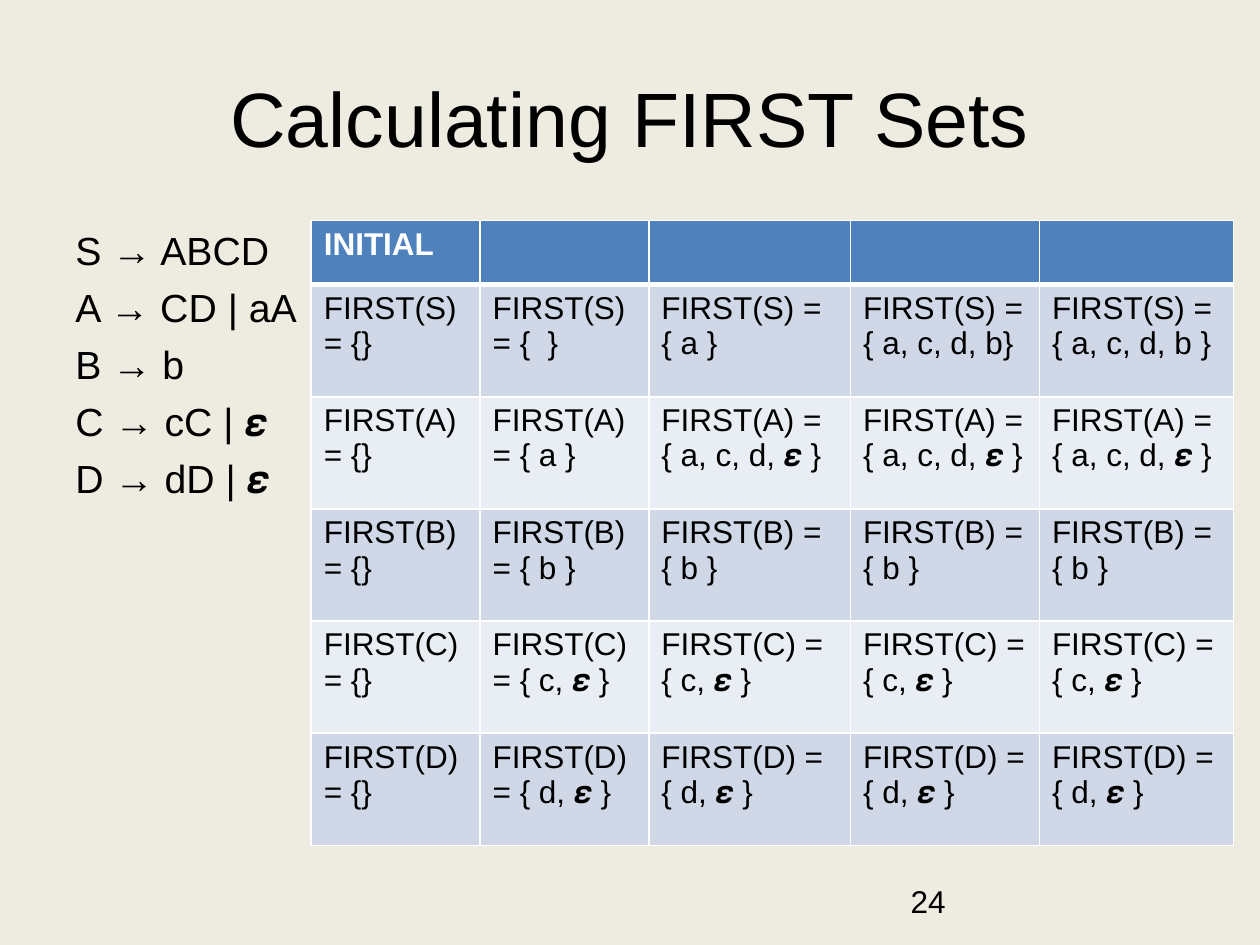
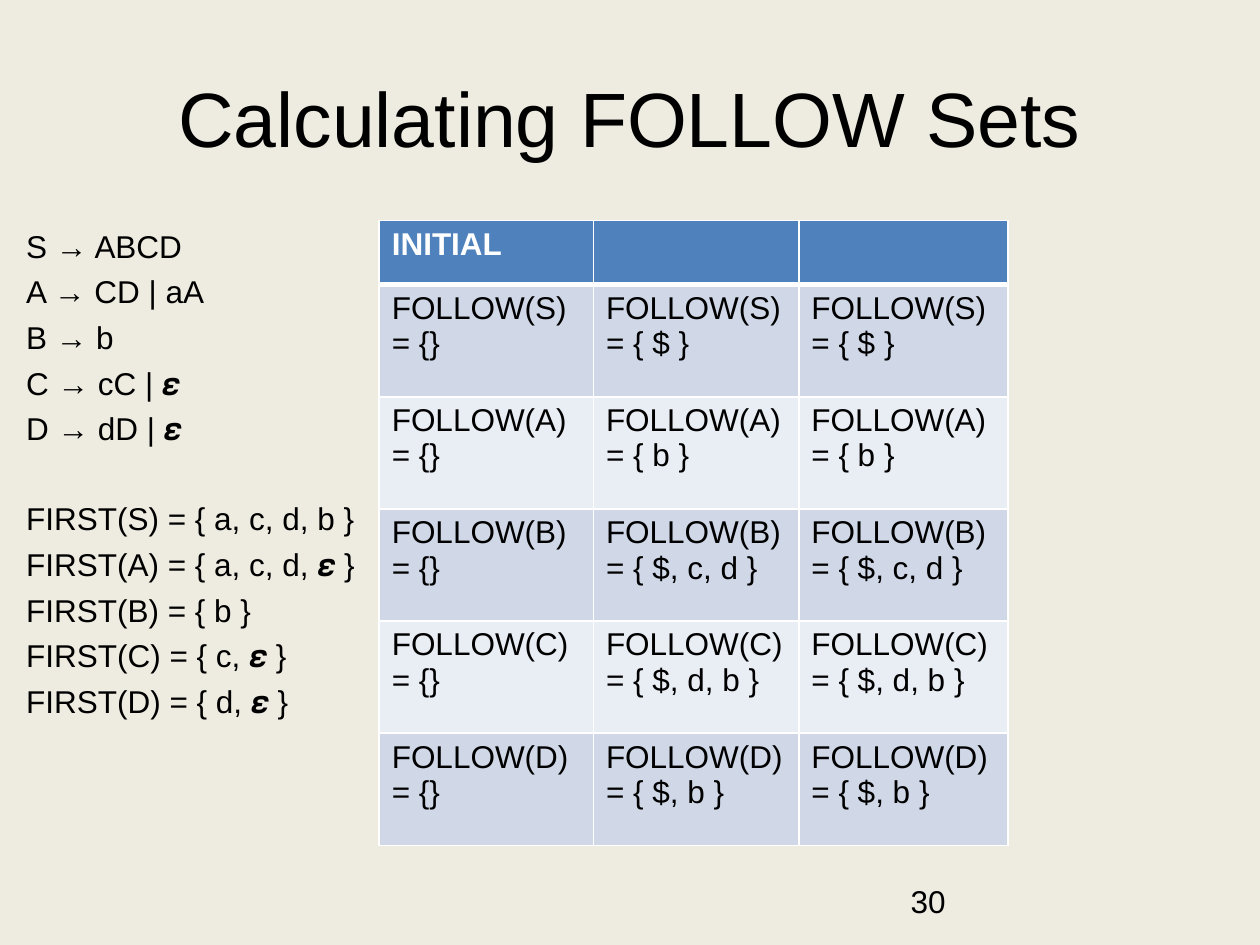
"""Build two slides that calculate the FIRST and FOLLOW sets of a grammar."""
from lxml import etree
from pptx import Presentation
from pptx.dml.color import RGBColor
from pptx.enum.text import MSO_ANCHOR, PP_ALIGN
from pptx.oxml.ns import qn
from pptx.util import Inches, Pt

MIDDLE, CENTER = MSO_ANCHOR.MIDDLE, PP_ALIGN.CENTER
FONT = "Arial"
COLORS = {
    "background": "EEECE1",
    "text": "000000",
    "header": "4F81BD",
    "header_text": "FFFFFF",
    "border": "FFFFFF",
    "odd_row": "D0D8E8",
    "even_row": "E9EDF4",
}

GRAMMAR = ["S → ABCD", "A → CD | aA", "B → b", "C → cC | 𝜺", "D → dD | 𝜺"]
FIRST_SETS = [
    "FIRST(S) = { a, c, d, b }",
    "FIRST(A) = { a, c, d, 𝜺 }",
    "FIRST(B) = { b }",
    "FIRST(C) = { c, 𝜺 }",
    "FIRST(D) = { d, 𝜺 }",
]
SLIDES = [
    {
        "title": "Calculating FIRST Sets",
        "number": "24",
        "groups": [GRAMMAR],
        "rules_size": 22.4,
        "rules_left": 0.5,
        "rules_width": 9,
        "function": "FIRST",
        "table_left": 2.47,
        "columns": [1.34, 1.34, 1.6, 1.5, 1.54],
        "steps": {
            "S": ["{}", "{  }", "{ a }", "{ a, c, d, b}", "{ a, c, d, b }"],
            "A": ["{}", "{ a }"] + ["{ a, c, d, 𝜺 }"] * 3,
            "B": ["{}"] + ["{ b }"] * 4,
            "C": ["{}"] + ["{ c, 𝜺 }"] * 4,
            "D": ["{}"] + ["{ d, 𝜺 }"] * 4,
        },
    },
    {
        "title": "Calculating FOLLOW Sets",
        "number": "30",
        "groups": [GRAMMAR, FIRST_SETS],
        "rules_size": 18,
        "rules_left": 0.11,
        "rules_width": 9.39,
        "function": "FOLLOW",
        "table_left": 3.01,
        "columns": [1.7, 1.63, 1.66],
        "steps": {
            "S": ["{}"] + ["{ $ }"] * 2,
            "A": ["{}"] + ["{ b }"] * 2,
            "B": ["{}"] + ["{ $, c, d }"] * 2,
            "C": ["{}"] + ["{ $, d, b }"] * 2,
            "D": ["{}"] + ["{ $, b }"] * 2,
        },
    },
]

CONTENT_TOP, CONTENT_HEIGHT = 1.75, 4.95
HEADER_HEIGHT, ROW_HEIGHT = 0.51, 0.89
BODY_SIZE, TITLE_SIZE = 18, 44
PARAGRAPH_GAP, LINE_HEIGHT = 0.25, 1.15


def rgb(name):
    return RGBColor.from_string(COLORS[name])


def write(paragraph, text, size=BODY_SIZE, color="text", bold=False):
    run = paragraph.add_run()
    run.text = text
    run.font.name = FONT
    run.font.size = Pt(size)
    run.font.bold = bold
    run.font.color.rgb = rgb(color)


def add_title(slide, text):
    title = slide.shapes.title
    title.left, title.top = Inches(0.5), Inches(0.3)
    title.width, title.height = Inches(9), Inches(1.25)
    title.text_frame.vertical_anchor = MIDDLE
    paragraph = title.text_frame.paragraphs[0]
    paragraph.alignment = CENTER
    write(paragraph, text, TITLE_SIZE)


def add_text_frame(slide, left, top, width, height):
    box = slide.shapes.add_textbox(*map(Inches, (left, top, width, height)))
    box.text_frame.word_wrap = True
    return box.text_frame


def add_rules(slide, content):
    size = content["rules_size"]
    frame = add_text_frame(slide, content["rules_left"], CONTENT_TOP,
                           content["rules_width"], CONTENT_HEIGHT)
    paragraph = frame.paragraphs[0]
    gap = size * PARAGRAPH_GAP
    for group_index, group in enumerate(content["groups"]):
        for rule_index, rule in enumerate(group):
            if group_index or rule_index:
                paragraph = frame.add_paragraph()
            starts_group = group_index and not rule_index
            extra = gap + size * LINE_HEIGHT if starts_group else 0
            paragraph.space_before = Pt(gap + extra)
            write(paragraph, rule, size)


def add_borders(cell, top, bottom):
    properties = cell._tc.get_or_add_tcPr()
    for side, width in (("L", 1), ("R", 1), ("T", top), ("B", bottom)):
        line = etree.SubElement(properties, qn(f"a:ln{side}"), w=str(Pt(width)))
        fill = etree.SubElement(line, qn("a:solidFill"))
        etree.SubElement(fill, qn("a:srgbClr"), val=COLORS["border"])


def add_steps(slide, content):
    columns = content["columns"]
    rows = [["INITIAL"] + [""] * (len(columns) - 1)]
    for symbol, sets in content["steps"].items():
        rows.append([f"{content['function']}({symbol}) = {value}" for value in sets])
    table = slide.shapes.add_table(
        len(rows), len(columns), Inches(content["table_left"]), Inches(CONTENT_TOP),
        Inches(sum(columns)), Inches(CONTENT_HEIGHT)).table
    for column, width in zip(table.columns, columns):
        column.width = Inches(width)
    for row_index, row in enumerate(rows):
        is_header = row_index == 0
        table.rows[row_index].height = Inches(HEADER_HEIGHT if is_header else ROW_HEIGHT)
        band = "header" if is_header else ("even_row", "odd_row")[row_index % 2]
        for column_index, text in enumerate(row):
            cell = table.cell(row_index, column_index)
            add_borders(cell, top=3 if row_index == 1 else 1, bottom=3 if is_header else 1)
            cell.fill.solid()
            cell.fill.fore_color.rgb = rgb(band)
            if text:
                write(cell.text_frame.paragraphs[0], text,
                      color="header_text" if is_header else "text", bold=is_header)


def main():
    deck = Presentation()
    deck.slide_width, deck.slide_height = Inches(10), Inches(7.5)
    background = deck.slide_master.background.fill
    background.solid()
    background.fore_color.rgb = rgb("background")
    title_only = deck.slide_layouts.get_by_name("Title Only")
    for content in SLIDES:
        slide = deck.slides.add_slide(title_only)
        add_title(slide, content["title"])
        add_rules(slide, content)
        number = add_text_frame(slide, 7.13, 6.95, 2.33, 0.4)
        write(number.paragraphs[0], content["number"])
        add_steps(slide, content)
    deck.save("out.pptx")


if __name__ == "__main__":
    main()
